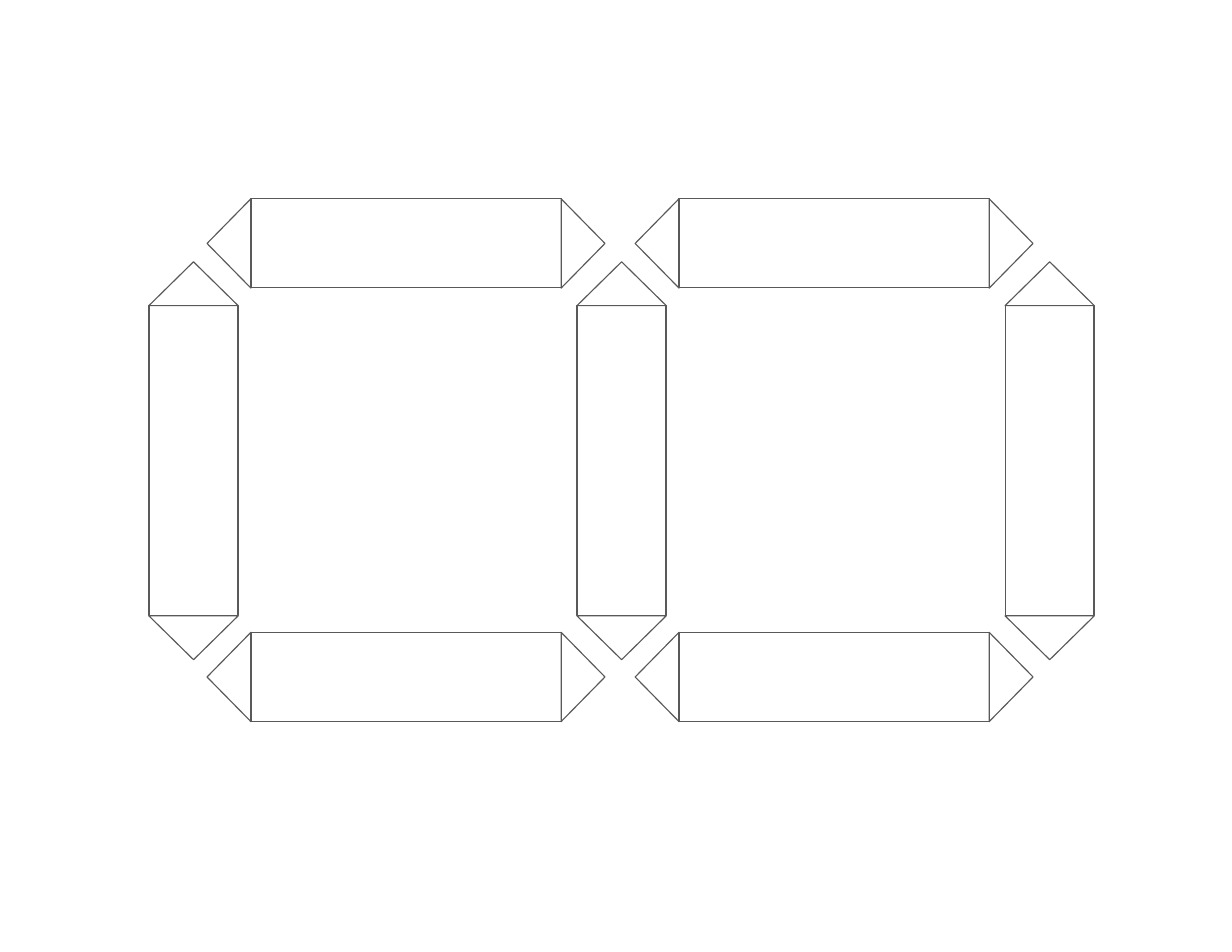
from math import cos, radians, sin

from pptx import Presentation
from pptx.dml.color import RGBColor
from pptx.enum.shapes import MSO_SHAPE
from pptx.util import Pt

COLORS = {"outline": "595959"}
BAR_WIDTH, BAR_LENGTH = 57.2, 199.4
TIP_WIDTH, TIP_HEIGHT = 57.4, 28.2
TIP_OFFSET = (BAR_LENGTH + TIP_HEIGHT) / 2
FIRST_X, COLUMN_STEP = 124.4, 275.2
TOP_Y, MIDDLE_Y, BOTTOM_Y = 156.5, 296.2, 435.2


def add_outline(group, kind, center_x, center_y, width, height, rotation):
    shape = group.shapes.add_shape(
        kind, Pt(center_x - width / 2), Pt(center_y - height / 2), Pt(width), Pt(height)
    )
    shape.rotation = rotation
    shape.shadow.inherit = False
    shape.fill.background()
    shape.line.color.rgb = RGBColor.from_string(COLORS["outline"])
    shape.line.width = Pt(0.75)


presentation = Presentation()
for name, value in {"slide_width": Pt(792), "slide_height": Pt(612)}.items():
    setattr(presentation, name, value)
slide = presentation.slides.add_slide(presentation.slide_layouts[6])

segments = []
for column in range(3):
    upright_x = FIRST_X + column * COLUMN_STEP
    segments.append((upright_x, MIDDLE_Y, 0))
    if column < 2:
        level_x = upright_x + COLUMN_STEP / 2 - 1
        segments += [(level_x, TOP_Y, 90), (level_x, BOTTOM_Y, 90)]

for center_x, center_y, rotation in segments:
    group = slide.shapes.add_group_shape()
    add_outline(group, MSO_SHAPE.RECTANGLE, center_x, center_y, BAR_WIDTH, BAR_LENGTH, rotation)
    for direction in (rotation, rotation + 180):
        tip_x = center_x + TIP_OFFSET * sin(radians(direction))
        tip_y = center_y - TIP_OFFSET * cos(radians(direction))
        add_outline(group, MSO_SHAPE.FLOWCHART_EXTRACT, tip_x, tip_y, TIP_WIDTH, TIP_HEIGHT, direction)

presentation.save("out.pptx")
